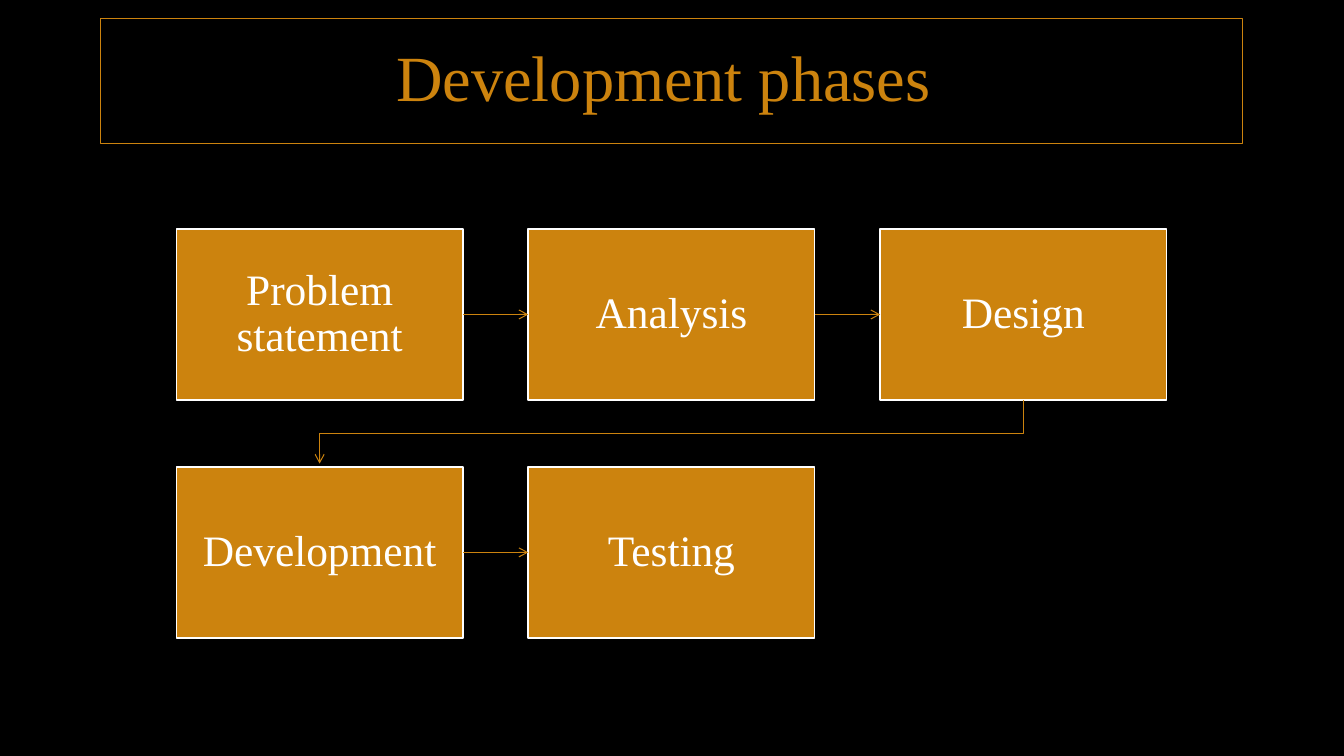
from dataclasses import dataclass

from lxml.etree import SubElement
from pptx import Presentation
from pptx.dml.color import RGBColor
from pptx.enum.shapes import MSO_CONNECTOR, MSO_SHAPE
from pptx.enum.text import MSO_ANCHOR, MSO_AUTO_SIZE, PP_ALIGN
from pptx.oxml.ns import qn
from pptx.shapes.autoshape import Shape
from pptx.shapes.base import BaseShape
from pptx.slide import Slide
from pptx.util import Inches, Pt

BLACK = RGBColor(0x00, 0x00, 0x00)
WHITE = RGBColor(0xFF, 0xFF, 0xFF)
AMBER = RGBColor(0xCC, 0x83, 0x0E)
FONT = "Times New Roman"

GRID_LEFT, GRID_TOP = 1.75, 2.27
COLUMN_STEP, ROW_STEP = 3.49, 2.36
BOX_WIDTH, BOX_HEIGHT = 2.84, 1.7
BOX_INSET = Inches(0.24)
ARROW_GAP = 0.03
TOP, LEFT, BOTTOM, RIGHT = range(4)


@dataclass(frozen=True)
class Phase:
    name: str
    row: int
    column: int

    @property
    def left(self) -> float:
        return GRID_LEFT + self.column * COLUMN_STEP

    @property
    def top(self) -> float:
        return GRID_TOP + self.row * ROW_STEP

    @property
    def center(self) -> float:
        return self.left + BOX_WIDTH / 2

    @property
    def bottom(self) -> float:
        return self.top + BOX_HEIGHT


PHASES = [
    Phase("Problem statement", 0, 0),
    Phase("Analysis", 0, 1),
    Phase("Design", 0, 2),
    Phase("Development", 1, 0),
    Phase("Testing", 1, 1),
]


def format_text(shape: Shape, text: str, size: float, color: RGBColor) -> None:
    frame = shape.text_frame
    frame.text = text
    frame.word_wrap = True
    frame.auto_size = MSO_AUTO_SIZE.NONE
    frame.vertical_anchor = MSO_ANCHOR.MIDDLE
    paragraph = frame.paragraphs[0]
    paragraph.alignment = PP_ALIGN.CENTER
    paragraph.line_spacing = 0.9
    paragraph.font.name = FONT
    paragraph.font.size = Pt(size)
    paragraph.font.color.rgb = color


def format_title(slide: Slide) -> None:
    title = slide.shapes.title
    title.left, title.top = Inches(1), Inches(0.18)
    title.width, title.height = Inches(11.32), Inches(1.24)
    title.line.color.rgb = AMBER
    title.line.width = Pt(0.75)
    format_text(title, "Development phases ", 46, AMBER)


def add_phase_box(slide: Slide, phase: Phase) -> Shape:
    box = slide.shapes.add_shape(
        MSO_SHAPE.RECTANGLE, Inches(phase.left), Inches(phase.top),
        Inches(BOX_WIDTH), Inches(BOX_HEIGHT))
    box.shadow.inherit = False
    box.fill.solid()
    box.fill.fore_color.rgb = AMBER
    box.line.color.rgb = WHITE
    box.line.width = Pt(1.25)
    frame = box.text_frame
    frame.margin_left = frame.margin_right = BOX_INSET
    frame.margin_top = frame.margin_bottom = BOX_INSET
    format_text(box, phase.name, 31, WHITE)
    return box


def style_arrow(arrow: BaseShape) -> None:
    """Give a line its colour and an open arrowhead, without a shadow."""
    arrow.line.color.rgb = AMBER
    arrow.line.width = Pt(0.75)
    properties = arrow.element.spPr
    SubElement(properties.find(qn("a:ln")), qn("a:tailEnd"), type="arrow")
    if properties.find(qn("a:effectLst")) is None:
        SubElement(properties, qn("a:effectLst"))


def add_row_arrow(slide: Slide, source: Shape, target: Shape) -> None:
    arrow = slide.shapes.add_connector(MSO_CONNECTOR.STRAIGHT, 0, 0, 0, 0)
    arrow.begin_connect(source, RIGHT)
    arrow.end_connect(target, LEFT)
    style_arrow(arrow)


def add_wrap_arrow(slide: Slide, source: Phase, target: Phase) -> None:
    """Lead from the end of one row to the start of the next."""
    middle = (source.bottom + target.top) / 2
    builder = slide.shapes.build_freeform(
        Inches(source.center), Inches(source.bottom))
    corners = [(source.center, middle), (target.center, middle),
               (target.center, target.top - ARROW_GAP)]
    builder.add_line_segments(
        [(Inches(x), Inches(y)) for x, y in corners], close=False)
    arrow = builder.convert_to_shape()
    arrow.fill.background()
    style_arrow(arrow)


def main() -> None:
    presentation = Presentation()
    presentation.slide_width = Inches(13.33)
    presentation.slide_height = Inches(7.5)
    slide = presentation.slides.add_slide(presentation.slide_layouts[5])
    slide.background.fill.solid()
    slide.background.fill.fore_color.rgb = BLACK

    format_title(slide)
    boxes = [add_phase_box(slide, phase) for phase in PHASES]
    steps = list(zip(PHASES, boxes))
    for (source, source_box), (target, target_box) in zip(steps, steps[1:]):
        if source.row == target.row:
            add_row_arrow(slide, source_box, target_box)
        else:
            add_wrap_arrow(slide, source, target)

    presentation.save("out.pptx")


if __name__ == "__main__":
    main()
